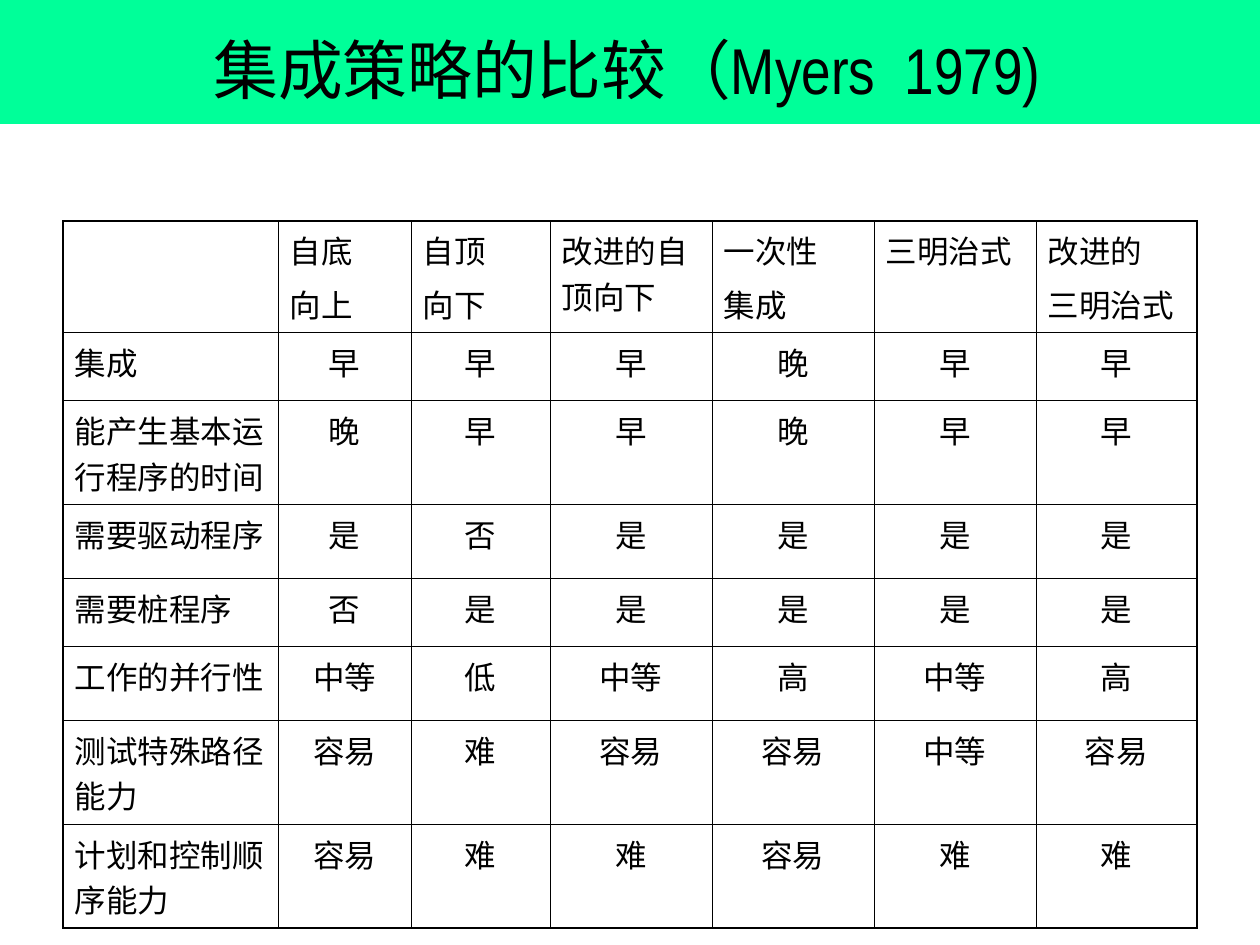
"""Build a slide comparing integration testing strategies in a table."""
from lxml.etree import SubElement
from pptx import Presentation
from pptx.dml.color import RGBColor
from pptx.enum.shapes import MSO_SHAPE
from pptx.enum.text import MSO_ANCHOR, MSO_AUTO_SIZE, PP_ALIGN
from pptx.oxml.ns import qn
from pptx.util import Emu, Pt

TITLE = "集成策略的比较（Myers  1979)"
STRATEGIES = ["", "自底\n向上", "自顶\n向下", "改进的自顶向下", "一次性\n集成", "三明治式", "改进的\n三明治式"]
CRITERIA = [
    ("集成", "早", "早", "早", "晚", "早", "早"),
    ("能产生基本运行程序的时间", "晚", "早", "早", "晚", "早", "早"),
    ("需要驱动程序", "是", "否", "是", "是", "是", "是"),
    ("需要桩程序", "否", "是", "是", "是", "是", "是"),
    ("工作的并行性", "中等", "低", "中等", "高", "中等", "高"),
    ("测试特殊路径能力", "容易", "难", "容易", "容易", "中等", "容易"),
    ("计划和控制顺序能力", "容易", "难", "难", "容易", "难", "难"),
]
COLUMN_WIDTHS = [215, 133, 139, 162, 162, 162, 161]
ROW_HEIGHTS = [97, 68, 92, 74, 68, 74, 88, 88]
COLORS = {"band": "00FF99", "ink": "000000"}
FONT = "Arial Narrow"
INNER_LINE, OUTER_LINE = Pt(0.45), Pt(1.08)


def px(length):
    return Emu(round(length * 914400 / 126))


def style_text(paragraph, size, align):
    paragraph.alignment = align
    for run in paragraph.runs:
        run.font.name = FONT
        run.font.size = Pt(size)
        run.font.bold = False
        run.font.color.rgb = RGBColor.from_string(COLORS["ink"])


def draw_borders(cell, outer_sides):
    properties = cell._tc.get_or_add_tcPr()
    for index, (side, is_outer) in enumerate(outer_sides.items()):
        line = SubElement(properties, qn(f"a:ln{side}"), w=str(OUTER_LINE if is_outer else INNER_LINE))
        color = SubElement(SubElement(line, qn("a:solidFill")), qn("a:srgbClr"))
        color.set("val", COLORS["ink"])
        properties.insert(index, line)


def add_header(slide):
    band = slide.shapes.add_shape(MSO_SHAPE.RECTANGLE, 0, 0, px(1260), px(124))
    band.shadow.inherit = False
    band.fill.solid()
    band.fill.fore_color.rgb = RGBColor.from_string(COLORS["band"])
    band.line.fill.background()
    title = slide.shapes.title
    title._element.addprevious(band._element)
    title.left, title.top, title.width, title.height = px(111), px(22), px(1032), px(93)
    frame = title.text_frame
    frame.text = TITLE
    frame.auto_size = MSO_AUTO_SIZE.NONE
    frame.vertical_anchor = MSO_ANCHOR.MIDDLE
    frame.margin_left = frame.margin_right = px(11)
    frame.margin_top = frame.margin_bottom = px(5)
    style_text(frame.paragraphs[0], 37, PP_ALIGN.CENTER)


def add_comparison(slide):
    rows = [STRATEGIES, *CRITERIA]
    last_row, last_column = len(rows) - 1, len(STRATEGIES) - 1
    comparison = slide.shapes.add_table(
        len(rows), len(STRATEGIES), px(63), px(221), px(sum(COLUMN_WIDTHS)), px(sum(ROW_HEIGHTS))
    ).table
    comparison.first_row = comparison.horz_banding = False
    for column, width in zip(comparison.columns, COLUMN_WIDTHS):
        column.width = px(width)
    for row, height in zip(comparison.rows, ROW_HEIGHTS):
        row.height = px(height)
    for r, values in enumerate(rows):
        for c, value in enumerate(values):
            cell = comparison.cell(r, c)
            cell.fill.background()
            cell.margin_left = cell.margin_right = px(12)
            cell.text_frame.text = value
            align = PP_ALIGN.CENTER if r and c else PP_ALIGN.LEFT
            for position, paragraph in enumerate(cell.text_frame.paragraphs):
                style_text(paragraph, 18, align)
                if position:
                    paragraph.space_before = Pt(4.5)
            draw_borders(cell, {"L": c == 0, "R": c == last_column, "T": r == 0, "B": r == last_row})


def main():
    deck = Presentation()
    deck.slide_width, deck.slide_height = px(1260), px(945)
    slide = deck.slides.add_slide(deck.slide_layouts[5])
    add_header(slide)
    add_comparison(slide)
    deck.save("out.pptx")


if __name__ == "__main__":
    main()
